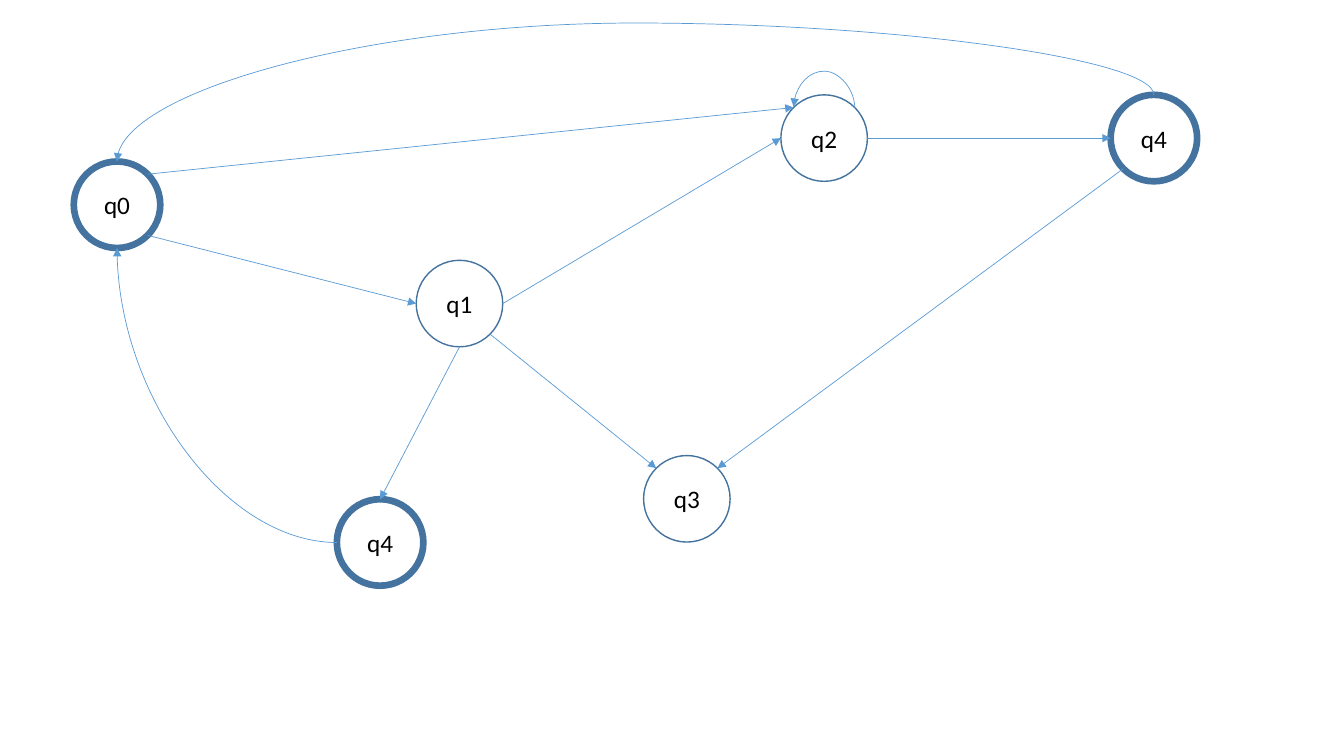
import math

import pptx
import pptx.dml.color
import pptx.enum.shapes
import pptx.enum.text
import pptx.oxml.ns
import pptx.oxml.xmlchemy
import pptx.util
from lxml import etree
from pptx.util import Cm

RADIUS = 1.09
NODE_LINE = "43739E"
ARROW_LINE = "5B9BD5"
# Connection sites of an ellipse, counter-clockwise from the top
TOP, TOP_LEFT, LEFT, BOTTOM_LEFT, BOTTOM, BOTTOM_RIGHT, RIGHT, TOP_RIGHT = range(8)

# key: label, centre x, centre y, accepting
STATES = {
    "q0": ("q0", 2.95, 5.16, True),
    "q1": ("q1", 11.58, 7.65, False),
    "q2": ("q2", 20.77, 3.48, False),
    "q3": ("q3", 17.31, 12.57, False),
    "q4 right": ("q4", 29.08, 3.48, True),
    "q4 lower": ("q4", 9.58, 13.67, True),
}

STRAIGHT_ARROWS = [
    ("q0", TOP_RIGHT, "q2", TOP_LEFT),
    ("q0", BOTTOM_RIGHT, "q1", LEFT),
    ("q1", RIGHT, "q2", LEFT),
    ("q1", BOTTOM_RIGHT, "q3", TOP_LEFT),
    ("q1", BOTTOM, "q4 lower", TOP),
    ("q2", RIGHT, "q4 right", LEFT),
    ("q4 right", BOTTOM_LEFT, "q3", TOP_RIGHT),
]


def color(hex_string):
    return pptx.dml.color.RGBColor.from_string(hex_string)


def add_child(parent, tag, **attributes):
    return etree.SubElement(parent, pptx.oxml.ns.qn(tag), attributes)


def add_state(slide, label, x, y, accepting):
    shape = slide.shapes.add_shape(
        pptx.enum.shapes.MSO_SHAPE.OVAL,
        Cm(x - RADIUS), Cm(y - RADIUS), Cm(2 * RADIUS), Cm(2 * RADIUS),
    )
    shape.shadow.inherit = False
    shape.fill.background()
    shape.line.color.rgb = color(NODE_LINE)
    shape.line.width = pptx.util.Pt(4.75 if accepting else 1)
    text_frame = shape.text_frame
    text_frame.text = label
    text_frame.vertical_anchor = pptx.enum.text.MSO_ANCHOR.MIDDLE
    paragraph = text_frame.paragraphs[0]
    paragraph.alignment = pptx.enum.text.PP_ALIGN.CENTER
    font = paragraph.runs[0].font
    font.name = "Calibri"
    font.size = pptx.util.Pt(18)
    font.color.rgb = color("000000")
    return shape


def site_point(state, site):
    """Return x and y in cm of a connection site on a state's circle."""
    _, x, y, _ = STATES[state]
    angle = math.radians(45 * site)
    return x - RADIUS * math.sin(angle), y - RADIUS * math.cos(angle)


def add_arrow(slide, shapes, kind, start, start_site, end, end_site):
    """Add an arrow glued to sites of two states."""
    points = site_point(start, start_site) + site_point(end, end_site)
    connector = slide.shapes.add_connector(kind, *(Cm(value) for value in points))
    connector.line.color.rgb = color(ARROW_LINE)
    connector.line.width = pptx.util.Pt(0.5)
    add_child(connector.line._get_or_add_ln(), "a:tailEnd", type="triangle")
    add_child(connector._element.spPr, "a:effectLst")
    glue = connector._element.find(".//" + pptx.oxml.ns.qn("p:cNvCxnSpPr"))
    for tag, state, site in (("a:stCxn", start, start_site), ("a:endCxn", end, end_site)):
        add_child(glue, tag, id=str(shapes[state].shape_id), idx=str(site))
    return connector


def add_curve(slide, shapes, start, start_site, end, end_site, bend_y=None):
    """Add a curved arrow: over a bend at bend_y, or a quarter turn without one."""
    connector = add_arrow(slide, shapes, pptx.enum.shapes.MSO_CONNECTOR.CURVE,
                          start, start_site, end, end_site)
    properties = connector._element.spPr
    frame = properties.find(pptx.oxml.ns.qn("a:xfrm"))
    geometry = properties.find(pptx.oxml.ns.qn("a:prstGeom"))
    for flip in ("flipH", "flipV"):
        frame.attrib.pop(flip, None)
    if bend_y is None:
        frame.set("rot", str(180 * 60000))
        geometry.set("prst", "curvedConnector2")
        return
    start_x, start_y = site_point(start, start_site)
    end_x, end_y = site_point(end, end_site)
    width, height = max(abs(end_y - start_y), 0.03), abs(end_x - start_x)
    connector.left = Cm((start_x + end_x - width) / 2)
    connector.top = Cm((start_y + end_y - height) / 2)
    connector.width, connector.height = Cm(width), Cm(height)
    frame.set("rot", str(270 * 60000))
    frame.set("flipV", "1")
    bend = (start_y - bend_y) / width
    if end_y - start_y > 0.03:
        frame.set("flipH", "1")
        bend = -bend
    guides = geometry.find(pptx.oxml.ns.qn("a:avLst"))
    if guides is None:
        guides = add_child(geometry, "a:avLst")
    add_child(guides, "a:gd", name="adj1", fmla=f"val {round(bend * 100000)}")


def main():
    presentation = pptx.Presentation()
    presentation.slide_width = Cm(33.87)
    presentation.slide_height = Cm(19.05)
    slide = presentation.slides.add_slide(presentation.slide_layouts[6])
    shapes = {key: add_state(slide, *state) for key, state in STATES.items()}
    for arrow in STRAIGHT_ARROWS:
        add_arrow(slide, shapes, pptx.enum.shapes.MSO_CONNECTOR.STRAIGHT, *arrow)
    add_curve(slide, shapes, "q2", TOP_RIGHT, "q2", TOP_LEFT, bend_y=1.78)
    add_curve(slide, shapes, "q4 lower", LEFT, "q0", BOTTOM)
    add_curve(slide, shapes, "q4 right", TOP, "q0", TOP, bend_y=0.58)
    presentation.save("out.pptx")


if __name__ == "__main__":
    main()
